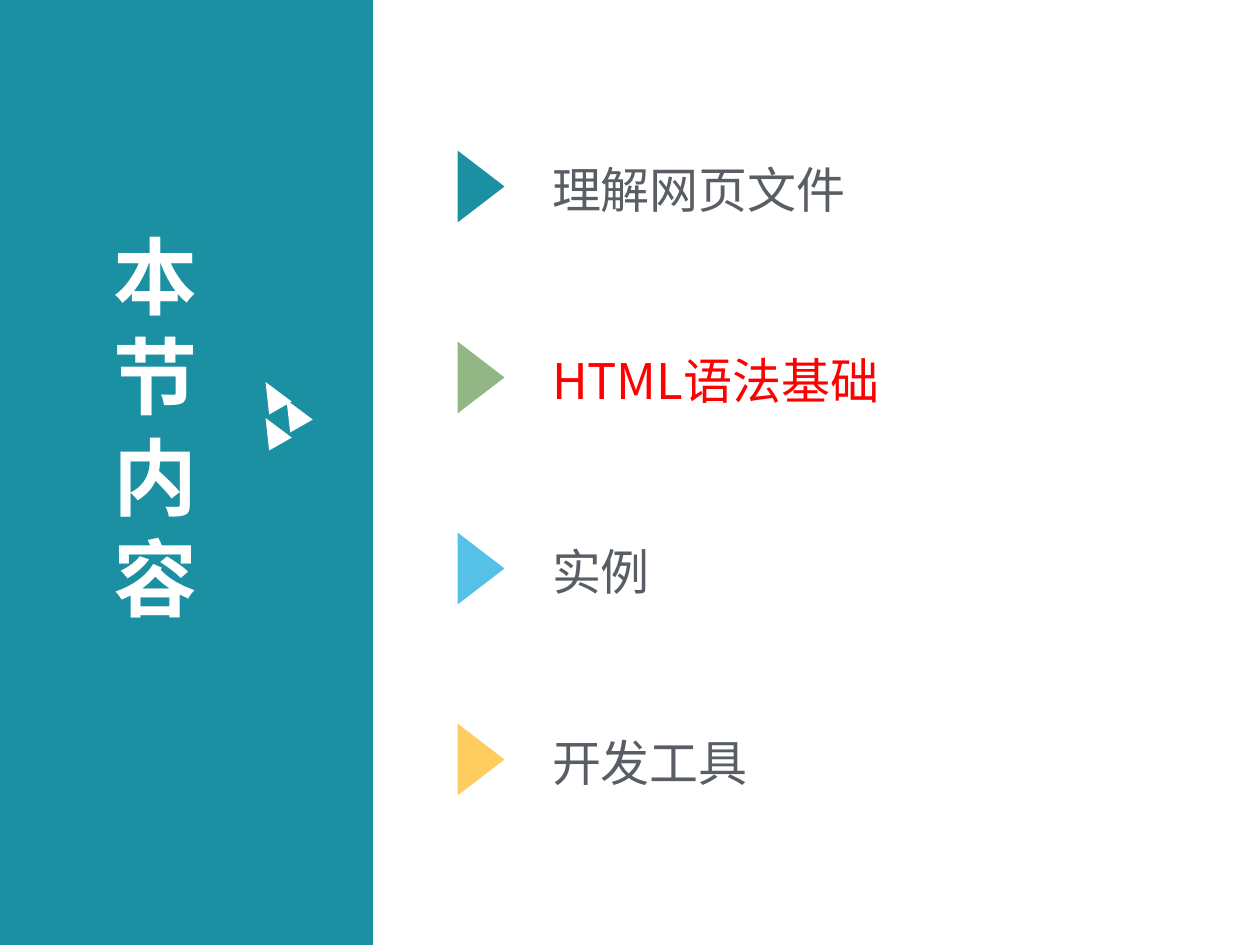
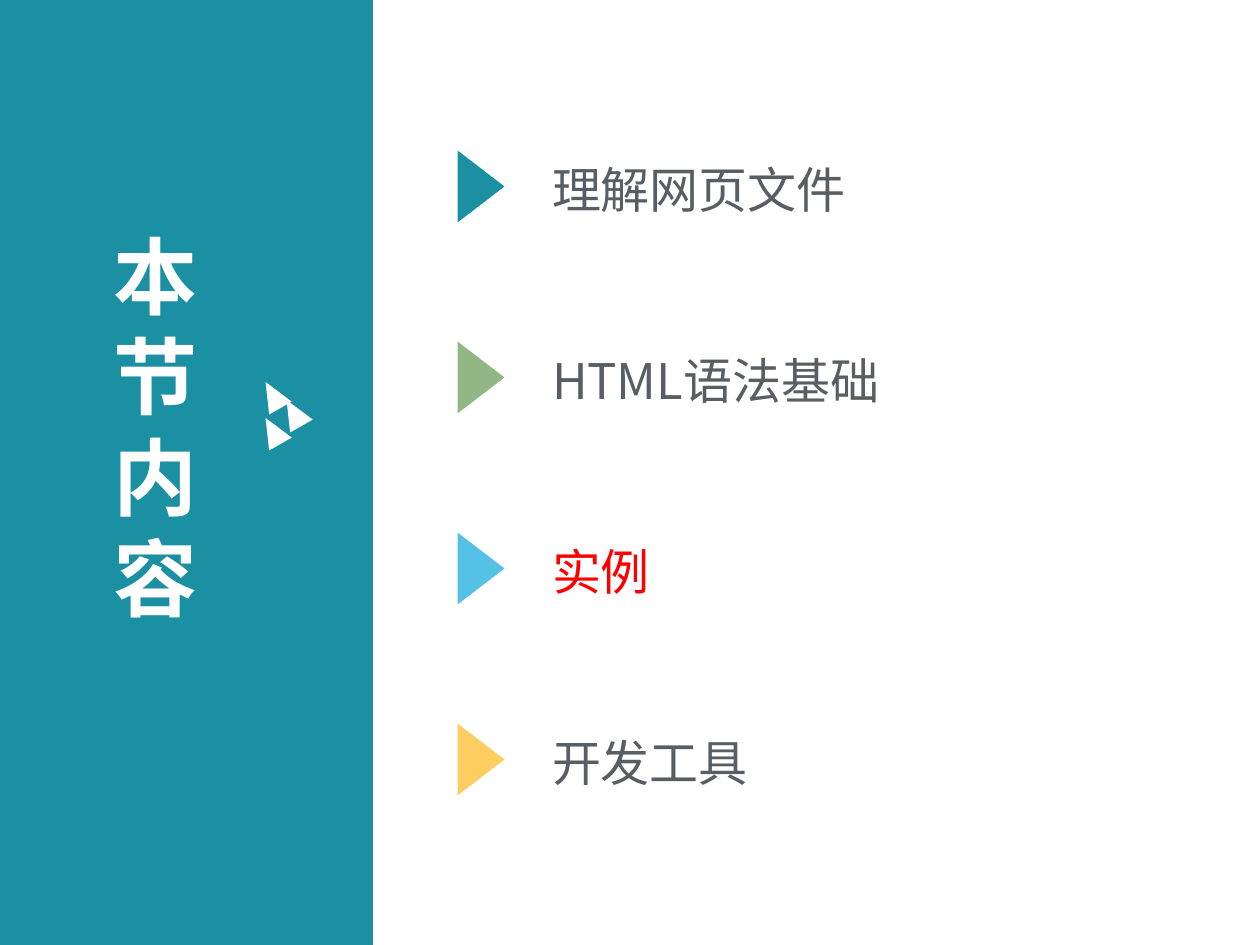
from dataclasses import dataclass

from lxml.etree import SubElement
from pptx import Presentation
from pptx.dml.color import RGBColor
from pptx.enum.shapes import MSO_SHAPE
from pptx.enum.text import MSO_ANCHOR, MSO_AUTO_SIZE, PP_ALIGN
from pptx.oxml.ns import qn
from pptx.util import Emu, Pt

PX_PER_INCH = 126
FONT = "Noto Sans CJK SC"
COLORS = {
    "teal": "1B90A2",
    "green": "93B784",
    "blue": "55C1E7",
    "yellow": "FDCD5F",
    "white": "FFFFFF",
    "gray": "595E64",
    "red": "FF0000",
}
LINE_HEIGHT = 1.2  # line height as a multiple of the font size
TOPIC_PITCH = 191
TITLE_SIZE, TOPIC_SIZE = 48, 28


@dataclass(frozen=True)
class Box:
    left: int
    top: int
    width: int
    height: int


@dataclass(frozen=True)
class Topic:
    label: str
    marker_color: str


SLIDE = Box(0, 0, 1260, 945)
BAND = Box(0, 0, 373, 945)
TITLE = Box(101, 212, 165, 420)
TOPIC_LIST = Box(539, 150, 721, 645)
FIRST_MARKER = Box(445, 163, 72, 47)
POINTER_PARTS = [Box(left, top, 26, 30)
                 for left, top in ((260, 380), (260, 416), (281, 398))]
TOPICS = [
    Topic("理解网页文件", "teal"),
    Topic("HTML语法基础", "green"),
    Topic("实例", "blue"),
    Topic("开发工具", "yellow"),
]
CURRENT_TOPICS = ["HTML语法基础", "实例"]


def px(length: float) -> Emu:
    return Emu(round(length * 914400 / PX_PER_INCH))


def rgb(color: str) -> RGBColor:
    return RGBColor.from_string(COLORS[color])


def add_figure(slide, kind, box: Box, color: str, rotation: float = 0):
    figure = slide.shapes.add_shape(
        kind, px(box.left), px(box.top), px(box.width), px(box.height))
    figure.rotation = rotation
    figure.shadow.inherit = False
    figure.fill.solid()
    figure.fill.fore_color.rgb = rgb(color)
    figure.line.fill.background()
    return figure


def place(holder, box: Box, top_inset: int):
    """Move a placeholder and return its text frame, ready for writing."""
    holder.left, holder.top = px(box.left), px(box.top)
    holder.width, holder.height = px(box.width), px(box.height)
    frame = holder.text_frame
    frame.auto_size = MSO_AUTO_SIZE.NONE
    frame.word_wrap = True
    frame.vertical_anchor = MSO_ANCHOR.TOP
    frame.margin_left = frame.margin_right = px(13)
    frame.margin_top, frame.margin_bottom = px(top_inset), px(6)
    return frame


def write(paragraph, text: str, *, size: int, color: str,
          bold: bool = False, gap_after: float = 0) -> None:
    paragraph.alignment = PP_ALIGN.LEFT
    paragraph.line_spacing = Pt(size * LINE_HEIGHT)
    paragraph.space_before = Pt(0)
    paragraph.space_after = Pt(gap_after)
    properties = paragraph._p.get_or_add_pPr()
    properties.set("marL", "0")
    properties.set("indent", "0")
    SubElement(properties, qn("a:buNone"))
    run = paragraph.add_run()
    run.text = text
    run.font.name = FONT
    run.font.size = Pt(size)
    run.font.bold = bold
    run.font.color.rgb = rgb(color)
    SubElement(run._r.get_or_add_rPr(), qn("a:ea"), typeface=FONT)


def add_side_band(slide) -> None:
    title = slide.shapes.title
    band = add_figure(slide, MSO_SHAPE.RECTANGLE, BAND, "teal")
    title.element.addprevious(band.element)  # keeps the band behind the title
    frame = place(title, TITLE, top_inset=12)
    write(frame.paragraphs[0], "本节内容", size=TITLE_SIZE, color="white", bold=True)
    for part in POINTER_PARTS:
        add_figure(slide, MSO_SHAPE.ISOSCELES_TRIANGLE, part, "white", 330.2)


def add_topics(slide, current: str) -> None:
    frame = place(slide.placeholders[1], TOPIC_LIST, top_inset=10)
    gap = TOPIC_PITCH * 72 / PX_PER_INCH - TOPIC_SIZE * LINE_HEIGHT
    for row, topic in enumerate(TOPICS):
        paragraph = frame.add_paragraph() if row else frame.paragraphs[0]
        write(paragraph, topic.label, size=TOPIC_SIZE, gap_after=gap,
              color="red" if topic.label == current else "gray")
        marker = Box(FIRST_MARKER.left, FIRST_MARKER.top + row * TOPIC_PITCH,
                     FIRST_MARKER.width, FIRST_MARKER.height)
        add_figure(slide, MSO_SHAPE.ISOSCELES_TRIANGLE, marker,
                   topic.marker_color, 90)


def main() -> None:
    deck = Presentation()
    deck.slide_width, deck.slide_height = px(SLIDE.width), px(SLIDE.height)
    for current in CURRENT_TOPICS:
        slide = deck.slides.add_slide(deck.slide_layouts[1])
        add_side_band(slide)
        add_topics(slide, current)
    deck.save("out.pptx")


if __name__ == "__main__":
    main()
